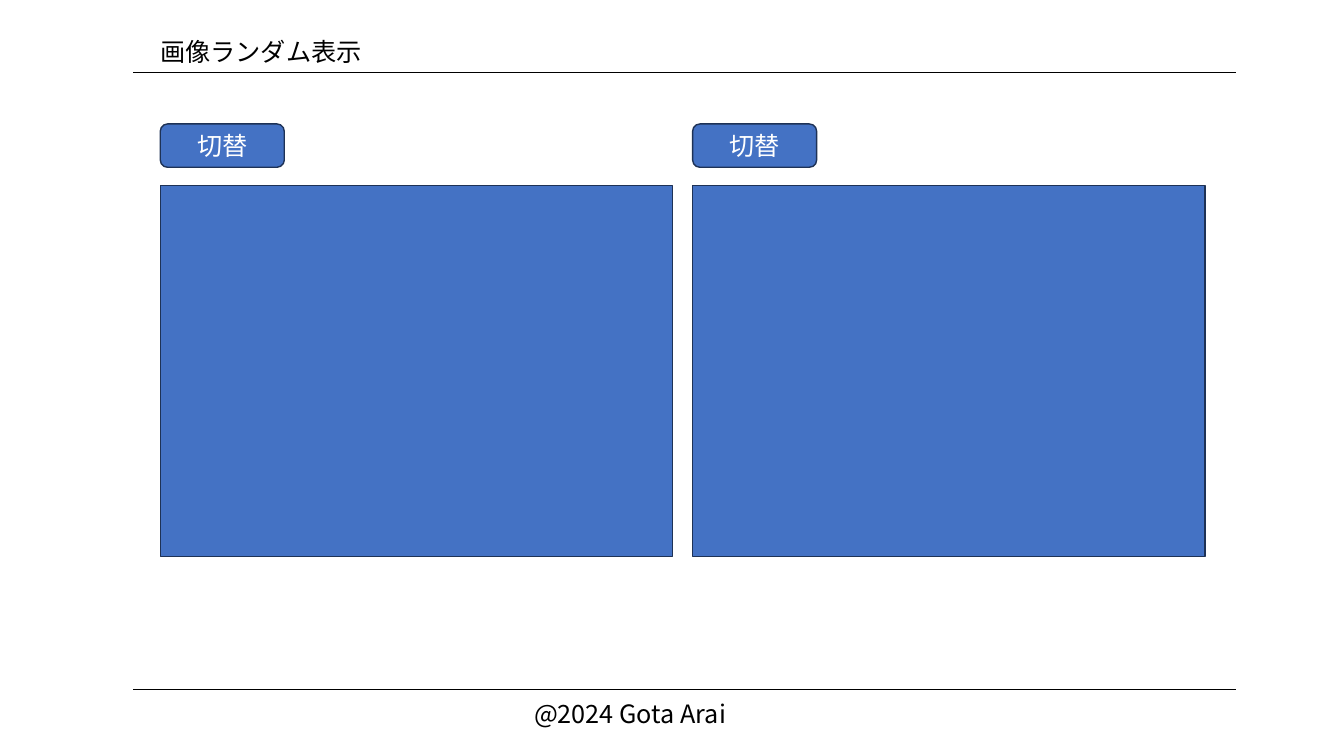
from lxml.etree import SubElement
from pptx import Presentation
from pptx.dml.color import RGBColor
from pptx.enum.shapes import MSO_CONNECTOR as CONNECTOR, MSO_SHAPE as SHAPE
from pptx.enum.text import MSO_ANCHOR as ANCHOR, MSO_AUTO_SIZE as AUTO_SIZE, PP_ALIGN as ALIGN
from pptx.oxml.ns import qn
from pptx.util import Pt

PX = 9144  # 100 px to the inch
FONT = "Noto Sans CJK JP"
BLACK, WHITE, BLUE, NAVY = "000000", "FFFFFF", "4472C4", "1E3256"


def color(hex_value):
    return RGBColor.from_string(hex_value)


def write(frame, text, size=18, ink=BLACK, align=ALIGN.LEFT, anchor=ANCHOR.TOP):
    frame.word_wrap = True
    frame.vertical_anchor = anchor
    paragraph = frame.paragraphs[0]
    paragraph.alignment = align
    run = paragraph.add_run()
    run.text = text
    run.font.size = Pt(size)
    run.font.color.rgb = color(ink)
    run.font.name = FONT
    SubElement(run.font._element, qn("a:ea")).set("typeface", FONT)


prs = Presentation()
prs.slide_width, prs.slide_height = 1333 * PX, 750 * PX
slide = prs.slides.add_slide(prs.slide_layouts[6])
shapes = slide.shapes

# Header and footer text
for text, left, top in [("画像ランダム表示", 149, 31), ("@2024 Gota Arai", 520, 688)]:
    caption = shapes.add_textbox(left * PX, top * PX, 253 * PX, 40 * PX)
    write(caption.text_frame, text)
    caption.text_frame.auto_size = AUTO_SIZE.SHAPE_TO_FIT_TEXT

# Rules below the header and above the footer
for y in (72, 684):
    rule = shapes.add_connector(CONNECTOR.STRAIGHT, 132 * PX, y * PX, 1226 * PX, y * PX)
    rule.line.color.rgb = color(BLACK)
    rule.line.width = Pt(0.5)
    SubElement(rule._element.spPr, qn("a:effectLst"))

# Two image panels, each with its switch button
for left in (159, 687):
    button = shapes.add_shape(SHAPE.ROUNDED_RECTANGLE, left * PX, 123 * PX, 123 * PX, 43 * PX)
    panel = shapes.add_shape(SHAPE.RECTANGLE, left * PX, 184 * PX, 508 * PX, 368 * PX)
    for block in (button, panel):
        block.shadow.inherit = False
        block.fill.solid()
        block.fill.fore_color.rgb = color(BLUE)
        block.line.color.rgb = color(NAVY)
        block.line.width = Pt(1)
    write(button.text_frame, "切替", ink=WHITE, align=ALIGN.CENTER, anchor=ANCHOR.MIDDLE)

prs.save("out.pptx")
